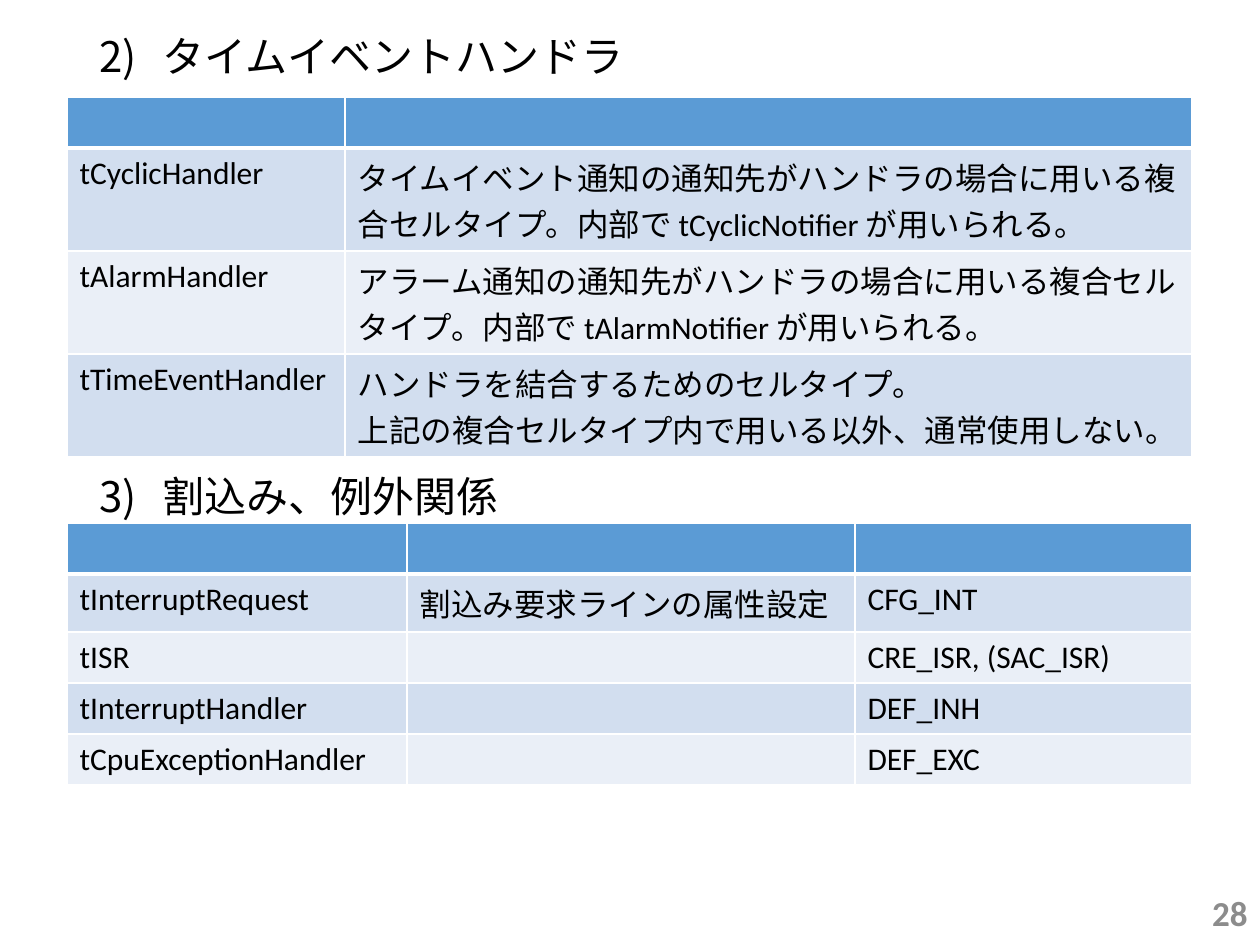
"""Build the slide listing handler cell types and interrupt cell types."""
from dataclasses import dataclass

from lxml import etree
from pptx import Presentation
from pptx import util as u
from pptx.dml.color import RGBColor
from pptx.enum import text
from pptx.oxml import ns

SECTIONS = [
    {
        "number": 2, "heading": "タイムイベントハンドラ",
        "heading_top": 30, "table_top": 97,
        "columns": [278, 847], "rows": [51, 103, 103, 103],
        "cells": [
            ["", ""],
            ["tCyclicHandler",
             "タイムイベント通知の通知先がハンドラの場合に用いる複合セルタイプ。"
             "内部で tCyclicNotifier が用いられる。"],
            ["tAlarmHandler",
             "アラーム通知の通知先がハンドラの場合に用いる複合セルタイプ。"
             "内部で tAlarmNotifier が用いられる。"],
            ["tTimeEventHandler",
             "ハンドラを結合するためのセルタイプ。\n"
             "上記の複合セルタイプ内で用いる以外、通常使用しない。"],
        ],
    },
    {
        "number": 3, "heading": "割込み、例外関係",
        "heading_top": 470, "table_top": 523,
        "columns": [340, 448, 337], "rows": [51, 58, 51, 51, 51],
        "cells": [
            ["", "", ""],
            ["tInterruptRequest", "割込み要求ラインの属性設定", "CFG_INT"],
            ["tISR", "", "CRE_ISR, (SAC_ISR)"],
            ["tInterruptHandler", "", "DEF_INH"],
            ["tCpuExceptionHandler", "", "DEF_EXC"],
        ],
    },
]
PAGE_NUMBER = "28"


@dataclass(frozen=True)
class Theme:
    font: str = "Calibri"
    ink: str = "000000"
    muted: str = "8C8C8C"
    header: str = "5B9BD5"
    bands: tuple = ("D2DEEF", "EAEFF7")
    rule: str = "FFFFFF"
    heading_size: int = 24
    cell_size: int = 18
    number_size: int = 20


THEME = Theme()
EMU_PER_PX = 914400 // 126
HEADING_LEFT, HEADING_WIDTH, HEADING_HEIGHT, HANGING = 87, 1086, 55, 63
TABLE_LEFT = 67


def px(length):
    return u.Emu(length * EMU_PER_PX)


def style(font, size, color, bold=False):
    font.name, font.size, font.bold = THEME.font, u.Pt(size), bold
    font.color.rgb = RGBColor.from_string(color)


def add_label(slide, wording, left, top, width, height):
    frame = slide.shapes.add_textbox(px(left), px(top), px(width), px(height)).text_frame
    frame.word_wrap = True
    frame.text = wording
    return frame


def add_heading(slide, section):
    frame = add_label(slide, section["heading"], HEADING_LEFT, section["heading_top"],
                      HEADING_WIDTH, HEADING_HEIGHT)
    heading = frame.paragraphs[0]
    heading.line_spacing = 0.9
    style(heading.runs[0].font, THEME.heading_size, THEME.ink)
    properties = heading._p.get_or_add_pPr()
    properties.set("marL", str(px(HANGING)))
    properties.set("indent", str(-px(HANGING)))
    etree.SubElement(properties, ns.qn("a:buFont"), typeface=THEME.font)
    etree.SubElement(properties, ns.qn("a:buAutoNum"), type="arabicParenR",
                     startAt=str(section["number"]))


def add_borders(cell, row):
    weights = {"lnL": 1, "lnR": 1, "lnT": 3 if row == 1 else 1, "lnB": 3 if row == 0 else 1}
    properties = cell._tc.get_or_add_tcPr()
    for side, weight in weights.items():
        line = etree.SubElement(properties, ns.qn(f"a:{side}"), w=str(u.Pt(weight)))
        fill = etree.SubElement(line, ns.qn("a:solidFill"))
        etree.SubElement(fill, ns.qn("a:srgbClr"), val=THEME.rule)


def fill_cell(cell, wording, row):
    add_borders(cell, row)
    color = THEME.bands[(row - 1) % 2] if row else THEME.header
    cell.fill.solid()
    cell.fill.fore_color.rgb = RGBColor.from_string(color)
    cell.text_frame.text = wording
    for paragraph in cell.text_frame.paragraphs:
        style(paragraph.font, THEME.cell_size, THEME.ink)
        for run in paragraph.runs:
            style(run.font, THEME.cell_size, THEME.ink)


def add_cell_types(slide, section):
    columns, rows = section["columns"], section["rows"]
    table = slide.shapes.add_table(
        len(rows), len(columns), px(TABLE_LEFT), px(section["table_top"]),
        px(sum(columns)), px(sum(rows))).table
    for column, width in zip(table.columns, columns):
        column.width = px(width)
    for index, (row, height) in enumerate(zip(table.rows, rows)):
        row.height = px(height)
        for cell, wording in zip(row.cells, section["cells"][index]):
            fill_cell(cell, wording, index)


def add_page_number(slide):
    frame = add_label(slide, PAGE_NUMBER, 977, 888, 283, 50)
    frame.vertical_anchor = text.MSO_ANCHOR.MIDDLE
    number = frame.paragraphs[0]
    number.alignment = text.PP_ALIGN.RIGHT
    style(number.runs[0].font, THEME.number_size, THEME.muted, bold=True)


def main():
    deck = Presentation()
    deck.slide_width, deck.slide_height = px(1260), px(945)
    slide = deck.slides.add_slide(deck.slide_layouts[6])
    for section in SECTIONS:
        add_heading(slide, section)
        add_cell_types(slide, section)
    add_page_number(slide)
    deck.save("out.pptx")


if __name__ == "__main__":
    main()
